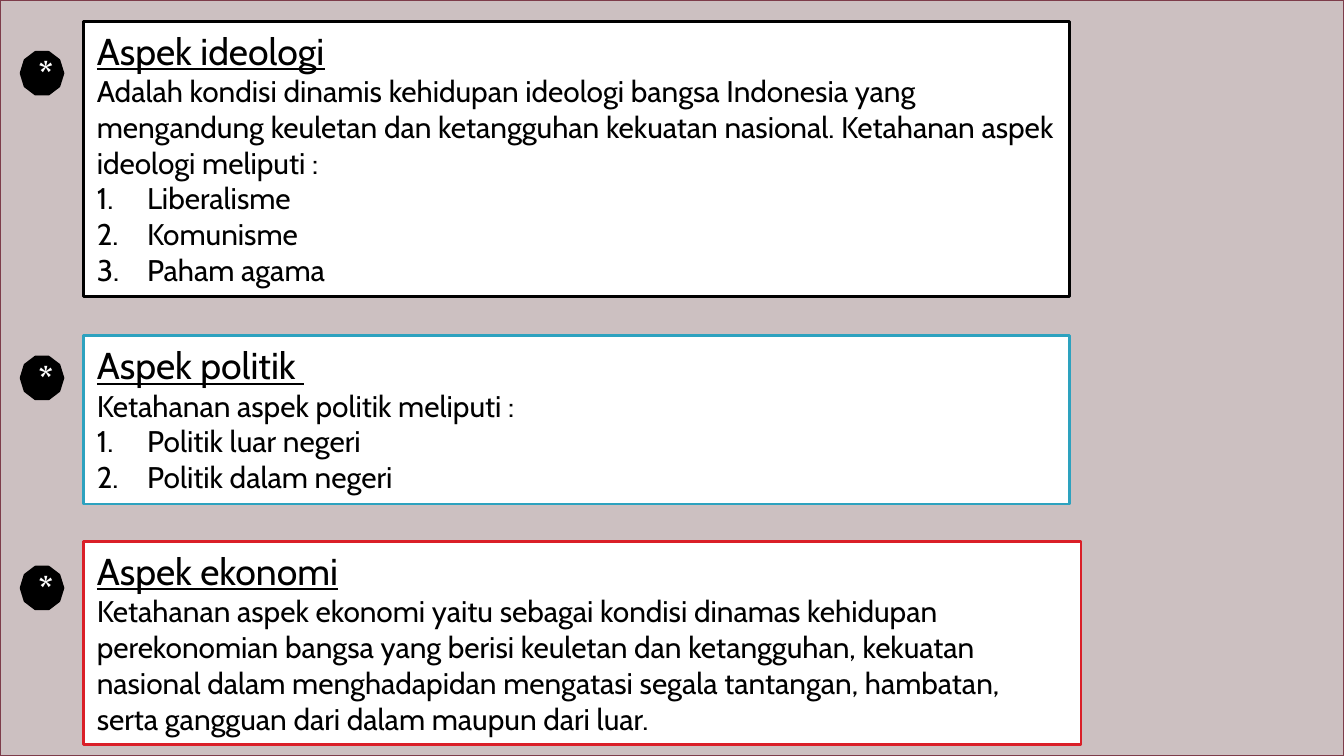
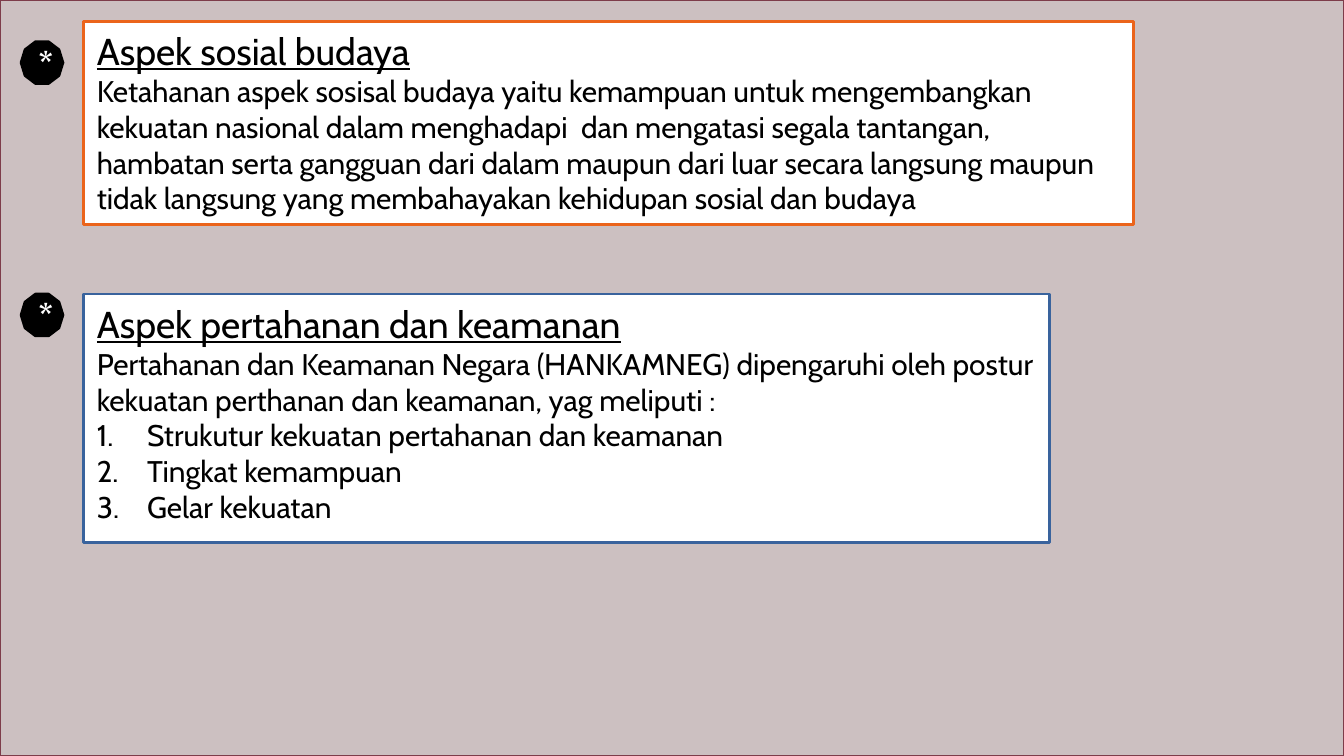
from dataclasses import dataclass

from lxml.etree import SubElement
from pptx import Presentation
from pptx.dml.color import RGBColor
from pptx.enum.shapes import MSO_SHAPE
from pptx.enum.text import MSO_ANCHOR, MSO_AUTO_SIZE, PP_ALIGN
from pptx.oxml.ns import qn
from pptx.util import Cm, Pt


@dataclass(frozen=True)
class Theme:
    """Colours, type and line sizes, and the shared column positions in cm."""
    font: str = "Cabin"
    paper: str = "FFFFFF"
    ink: str = "000000"
    ground: str = "CCC0C1"
    edge: str = "7D3C4A"
    teal: str = "2DA2BF"
    red: str = "DA1F28"
    orange: str = "EB641B"
    blue: str = "39639D"
    title: int = 20
    body: int = 16
    mark: int = 18
    rule: float = 1.5
    hairline: float = 0.79
    width: float = 25.4
    height: float = 14.29
    badge_x: float = 0.4
    badge_size: float = 0.79
    panel_x: float = 1.58
    indent: float = 0.95


T = Theme()


@dataclass(frozen=True)
class Aspect:
    """One panel: its box, the drop of its badge, its colour and its words."""
    top: float
    width: float
    height: float
    badge_drop: float
    color: str
    title: str
    body: str
    items: tuple = ()


def add_box(s, kind, x, y, w, h, fill, line, weight=T.rule):
    """Add a flat preset shape, with its box in cm."""
    sp = s.shapes.add_shape(kind, Cm(x), Cm(y), Cm(w), Cm(h))
    sp.shadow.inherit = False
    sp.fill.solid()
    sp.fill.fore_color.rgb = RGBColor.from_string(fill)
    sp.line.color.rgb = RGBColor.from_string(line)
    sp.line.width = Pt(weight)
    return sp


def write(p, text, size=T.body, color=T.ink, align=PP_ALIGN.LEFT,
          bold=False, underline=False, numbered=False):
    """Write text in a paragraph, as a numbered item if asked."""
    p.alignment = align
    r = p.add_run()
    r.text = text
    r.font.name = T.font
    r.font.size = Pt(size)
    r.font.bold = bold
    r.font.underline = underline
    r.font.color.rgb = RGBColor.from_string(color)
    if numbered:
        pPr = p._p.get_or_add_pPr()
        pPr.set("marL", str(Cm(T.indent)))
        pPr.set("indent", str(-Cm(T.indent)))
        SubElement(pPr, qn("a:buFont"), typeface="+mj-lt")
        SubElement(pPr, qn("a:buAutoNum"), type="arabicPeriod")


def add_badge(s, x, y, size):
    """Add the black decagon with an asterisk."""
    sp = add_box(s, MSO_SHAPE.DECAGON, x, y, size, size, T.ink, T.ink)
    tf = sp.text_frame
    tf.word_wrap = True
    tf.vertical_anchor = MSO_ANCHOR.MIDDLE
    write(tf.paragraphs[0], "*", size=T.mark, color=T.paper,
          align=PP_ALIGN.CENTER, bold=True)


def add_panel(s, x, y, w, h, aspect):
    """Add the outlined panel with title, body and numbered items."""
    sp = add_box(s, MSO_SHAPE.RECTANGLE, x, y, w, h, T.paper, aspect.color)
    tf = sp.text_frame
    tf.word_wrap = True
    tf.auto_size = MSO_AUTO_SIZE.SHAPE_TO_FIT_TEXT
    tf.vertical_anchor = MSO_ANCHOR.TOP
    write(tf.paragraphs[0], aspect.title, size=T.title, underline=True)
    write(tf.add_paragraph(), aspect.body)
    for item in aspect.items:
        write(tf.add_paragraph(), item, numbered=True)


def add_slide(prs, aspects):
    """Add a slide with the shared ground and one row for each aspect."""
    s = prs.slides.add_slide(prs.slide_layouts[6])
    add_box(s, MSO_SHAPE.RECTANGLE, 0, 0, T.width, T.height,
            T.ground, T.edge, T.hairline)
    for a in aspects:
        add_badge(s, T.badge_x, a.top + a.badge_drop, T.badge_size)
        add_panel(s, T.panel_x, a.top, a.width, a.height, a)


SLIDES = (
    (
        Aspect(0.4, 18.64, 5.21, 0.59, T.ink, "Aspek ideologi",
               "Adalah kondisi dinamis kehidupan ideologi bangsa Indonesia "
               "yang mengandung keuletan dan ketangguhan kekuatan nasional. "
               "Ketahanan aspek ideologi meliputi :",
               ("Liberalisme", "Komunisme", "Paham agama")),
        Aspect(6.35, 18.64, 3.18, 0.4, T.teal, "Aspek politik ",
               "Ketahanan aspek politik meliputi :",
               ("Politik luar negeri", "Politik dalam negeri")),
        Aspect(10.24, 18.85, 3.84, 0.48, T.red, "Aspek ekonomi",
               "Ketahanan aspek ekonomi yaitu sebagai kondisi dinamas "
               "kehidupan perekonomian bangsa yang berisi keuletan dan "
               "ketangguhan, kekuatan nasional dalam menghadapidan mengatasi "
               "segala tantangan, hambatan, serta gangguan dari dalam maupun "
               "dari luar."),
    ),
    (
        Aspect(0.4, 19.84, 3.84, 0.39, T.orange, "Aspek sosial budaya",
               "Ketahanan aspek sosisal budaya yaitu kemampuan untuk "
               "mengembangkan kekuatan nasional dalam menghadapi  dan "
               "mengatasi segala tantangan, hambatan serta gangguan dari "
               "dalam maupun dari luar secara langsung maupun tidak langsung "
               "yang membahayakan kehidupan sosial dan budaya"),
        Aspect(5.56, 18.26, 4.7, 0, T.blue, "Aspek pertahanan dan keamanan",
               "Pertahanan dan Keamanan Negara (HANKAMNEG) dipengaruhi oleh "
               "postur kekuatan perthanan dan keamanan, yag meliputi : ",
               ("Strukutur kekuatan pertahanan dan keamanan",
                "Tingkat kemampuan", "Gelar kekuatan")),
    ),
)

prs = Presentation()
prs.slide_width = Cm(T.width)
prs.slide_height = Cm(T.height)
for aspects in SLIDES:
    add_slide(prs, aspects)
prs.save("out.pptx")
